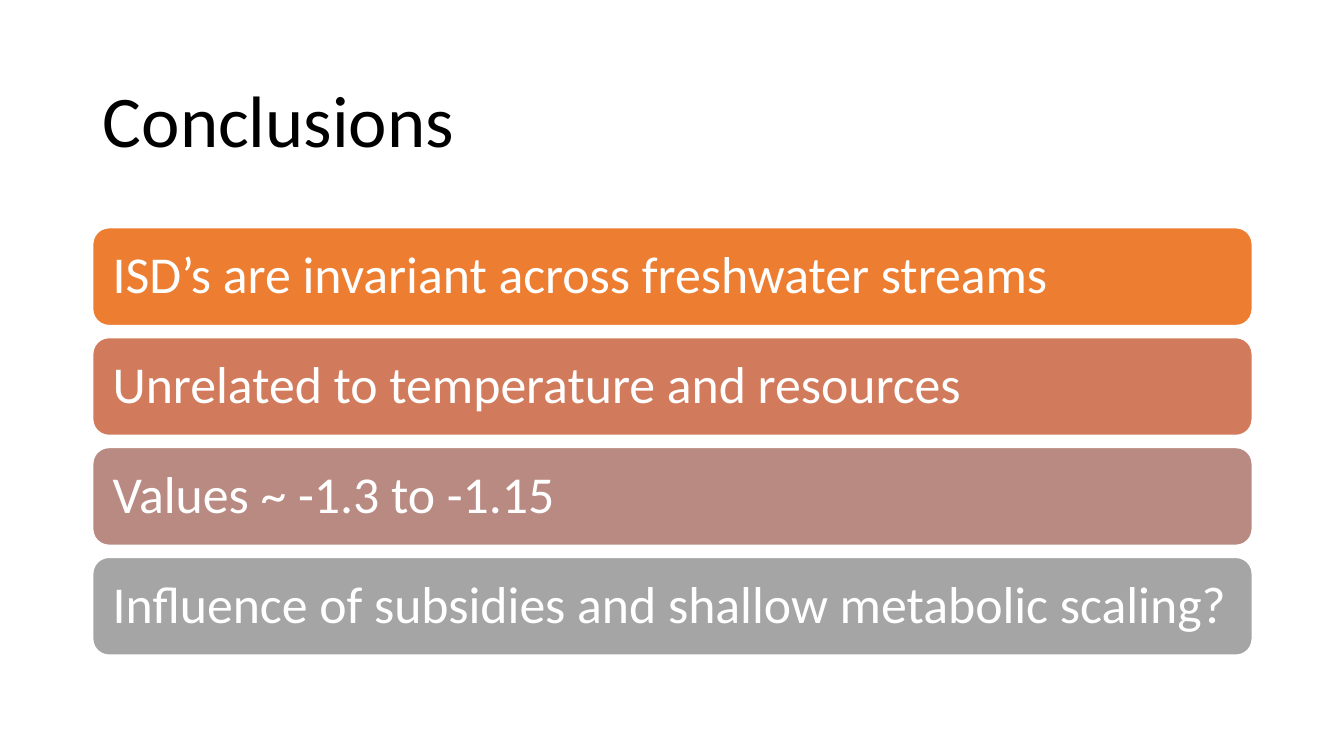
from dataclasses import dataclass

from pptx import Presentation
from pptx.dml.color import RGBColor
from pptx.enum.shapes import MSO_SHAPE
from pptx.enum.text import MSO_ANCHOR, MSO_AUTO_SIZE, PP_ALIGN
from pptx.util import Inches, Pt


@dataclass(frozen=True)
class Theme:
    font: str = "Calibri"
    title_size: int = 52
    bar_size: int = 37
    black: str = "000000"
    white: str = "FFFFFF"
    bar_colors: tuple = ("ED7D31", "D17B5C", "B98A82", "A5A5A5")


THEME = Theme()
CONCLUSIONS = (
    "ISD’s are invariant across freshwater streams",
    "Unrelated to temperature and resources",
    "Values ~ -1.3 to -1.15",
    "Influence of subsidies and shallow metabolic scaling?",
)
LEFT, WIDTH = 0.92, 11.5
FIRST_BAR_TOP, BAR_HEIGHT, BAR_STEP = 2.26, 0.97, 1.09


def write_text(shape, text, size, color):
    frame = shape.text_frame
    frame.text = text
    frame.word_wrap = True
    frame.auto_size = MSO_AUTO_SIZE.NONE
    frame.vertical_anchor = MSO_ANCHOR.MIDDLE
    paragraph = frame.paragraphs[0]
    paragraph.alignment = PP_ALIGN.LEFT
    paragraph.line_spacing = 0.9
    paragraph.font.name = THEME.font
    paragraph.font.size = Pt(size)
    paragraph.font.color.rgb = RGBColor.from_string(color)


def set_title(slide, text):
    title = slide.shapes.title
    title.left, title.top = Inches(LEFT), Inches(0.61)
    title.width, title.height = Inches(WIDTH), Inches(1.24)
    write_text(title, text, THEME.title_size, THEME.black)


def add_bar(slide, top, text, color):
    bar = slide.shapes.add_shape(
        MSO_SHAPE.ROUNDED_RECTANGLE,
        Inches(LEFT), Inches(top), Inches(WIDTH), Inches(BAR_HEIGHT),
    )
    bar.shadow.inherit = False
    bar.fill.solid()
    bar.fill.fore_color.rgb = RGBColor.from_string(color)
    bar.line.color.rgb = RGBColor.from_string(THEME.white)
    bar.line.width = Pt(1)
    bar.text_frame.margin_left = Inches(0.15)
    bar.text_frame.margin_right = Inches(0.1)
    write_text(bar, text, THEME.bar_size, THEME.white)


def main():
    presentation = Presentation()
    presentation.slide_width = Inches(13.33)
    presentation.slide_height = Inches(7.5)
    slide = presentation.slides.add_slide(presentation.slide_layouts[5])
    set_title(slide, "Conclusions")
    for index, (text, color) in enumerate(zip(CONCLUSIONS, THEME.bar_colors)):
        add_bar(slide, FIRST_BAR_TOP + index * BAR_STEP, text, color)
    presentation.save("out.pptx")


if __name__ == "__main__":
    main()
